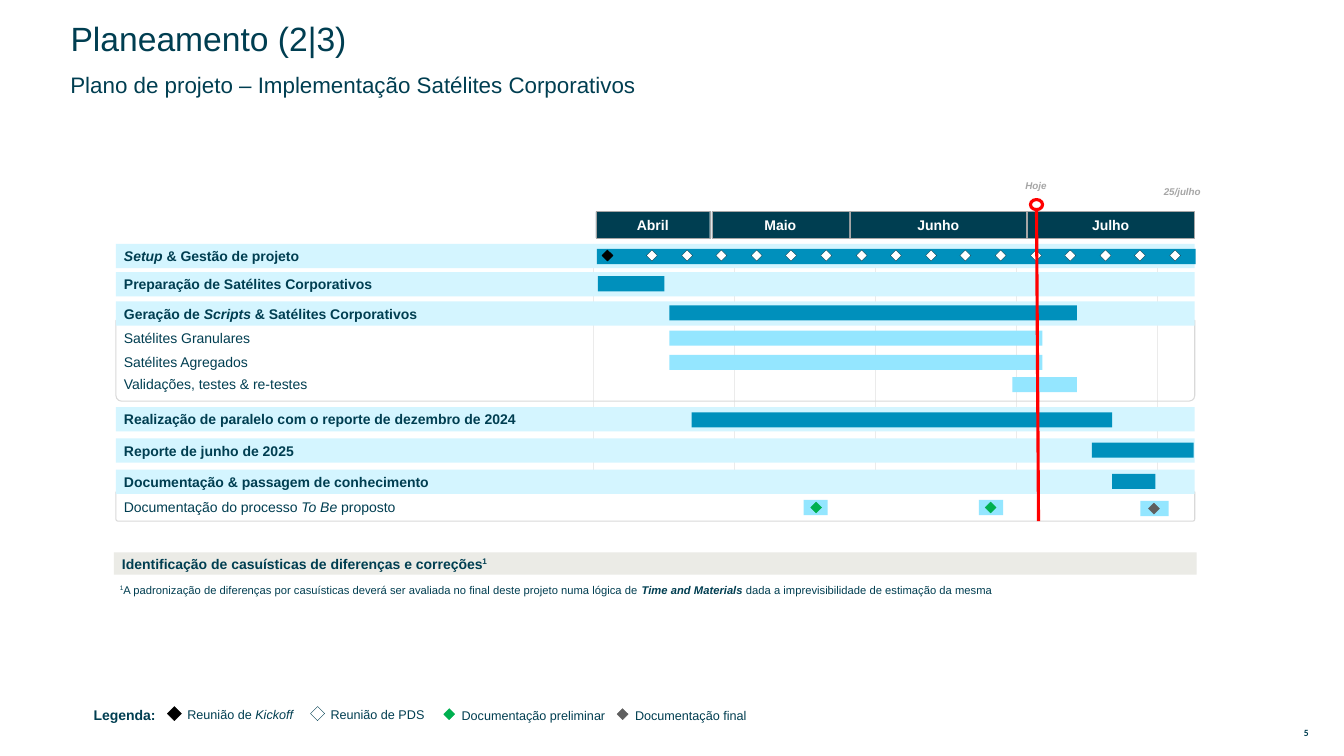
from lxml import etree
from pptx import Presentation
from pptx.dml.color import RGBColor
from pptx.enum.shapes import MSO_CONNECTOR, MSO_SHAPE
from pptx.enum.text import MSO_ANCHOR, MSO_AUTO_SIZE, PP_ALIGN
from pptx.oxml.ns import qn
from pptx.util import Pt

RECT, DIAMOND, OVAL = MSO_SHAPE.RECTANGLE, MSO_SHAPE.DIAMOND, MSO_SHAPE.OVAL
FRAME = MSO_SHAPE.ROUND_2_SAME_RECTANGLE
LINE = MSO_CONNECTOR.STRAIGHT
TOP, MIDDLE = MSO_ANCHOR.TOP, MSO_ANCHOR.MIDDLE
LEFT, CENTER = PP_ALIGN.LEFT, PP_ALIGN.CENTER
FIXED = MSO_AUTO_SIZE.NONE

NAVY = RGBColor(0x00, 0x3E, 0x51)
BLUE = RGBColor(0x00, 0x90, 0xBC)
SKY = RGBColor(0x94, 0xE6, 0xFF)
PALE = RGBColor(0xD4, 0xF5, 0xFF)
SAND = RGBColor(0xEB, 0xEB, 0xE6)
WHITE = RGBColor(0xFF, 0xFF, 0xFF)
BLACK = RGBColor(0x00, 0x00, 0x00)
GREEN = RGBColor(0x00, 0xB0, 0x50)
DARK = RGBColor(0x5F, 0x5F, 0x5F)
GREY = RGBColor(0xA6, 0xA6, 0xA6)
EDGE = RGBColor(0xD9, 0xD9, 0xD9)
GRID = RGBColor(0xEB, 0xEB, 0xEB)
RED = RGBColor(0xFF, 0x00, 0x00)

PX = 9144  # EMU, 100 px to the inch


class Chart:
    def __init__(self, slide, font="Arial", color=NAVY):
        self.slide, self.font, self.color = slide, font, color

    def label(self, shape, runs, size=10, bold=None, italic=None, color=None,
              font=None, align=LEFT, anchor=MIDDLE, pad=(10, 5, 10, 5), space=None):
        """Fill a shape with text; a run is a string or (string, marks), marks from b, i and ^."""
        frame = shape.text_frame
        frame.word_wrap, frame.auto_size = True, FIXED
        frame.vertical_anchor = anchor
        (frame.margin_left, frame.margin_top,
         frame.margin_right, frame.margin_bottom) = (n * PX for n in pad)
        para = frame.paragraphs[0]
        para.alignment = align
        if space:
            para.line_spacing = space
        para.font.name, para.font.size = font or self.font, Pt(size)
        para.font.bold, para.font.italic = bold, italic
        para.font.color.rgb = color or self.color
        for part in [runs] if isinstance(runs, str) else runs:
            text, marks = (part, "") if isinstance(part, str) else part
            run = para.add_run()
            run.text = text
            if "b" in marks:
                run.font.bold = True
            if "i" in marks:
                run.font.italic = True
            if "^" in marks:
                run._r.get_or_add_rPr().set("baseline", "30000")

    def title(self, x, y, w, h, text, **style):
        shape = self.slide.shapes.title
        shape.left, shape.top, shape.width, shape.height = (n * PX for n in (x, y, w, h))
        self.label(shape, text, **style)

    def text(self, x, y, w, h, runs, **style):
        box = self.slide.shapes.add_textbox(x * PX, y * PX, w * PX, h * PX)
        self.label(box, runs, **style)

    def shape(self, kind, x, y, w, h, fill=None, edge=None, width=0.25):
        shape = self.slide.shapes.add_shape(kind, x * PX, y * PX, w * PX, h * PX)
        shape.shadow.inherit = False
        if fill is None:
            shape.fill.background()
        else:
            shape.fill.solid()
            shape.fill.fore_color.rgb = fill
        if edge is None:
            shape.line.fill.background()
        else:
            shape.line.color.rgb, shape.line.width = edge, Pt(width)
        return shape

    def bar(self, x, y, w, fill=BLUE):
        self.shape(RECT, x, y, w, 15, fill)

    def mark(self, x, y, fill, edge=None, size=11):
        self.shape(DIAMOND, x, y, size, size, fill, edge or fill)

    def band(self, x, y, w, h, runs, fill=PALE):
        shape = self.shape(RECT, x, y, w, h, fill)
        self.label(shape, runs, bold=True, pad=(8, 11, 8, 11))

    def frame(self, y, h):
        shape = self.shape(FRAME, 115, y, 1070, h, edge=EDGE, width=0.75)
        shape.adjustments[0], shape.adjustments[1] = 0, 0.07

    def line(self, x1, y1, x2, y2, color, width):
        line = self.slide.shapes.add_connector(LINE, x1 * PX, y1 * PX, x2 * PX, y2 * PX)
        line.line.color.rgb, line.line.width = color, Pt(width)
        etree.SubElement(line._element.spPr, qn("a:effectLst"))


BANDS = [
    (242, [("Setup", "i"), " & Gestão de projeto"]),
    (270, "Preparação de Satélites Corporativos"),
    (299, ["Geração de ", ("Scripts", "i"), " & Satélites Corporativos"]),
    (404, "Realização de paralelo com o reporte de dezembro de 2024"),
    (435, "Reporte de junho de 2025"),
    (466, "Documentação & passagem de conhecimento"),
]
TASKS = [
    (324, 23, "Satélites Granulares"),
    (348, 22, "Satélites Agregados"),
    (371, 20, "Validações, testes & re-testes"),
    (493, 20, ["Documentação do processo ", ("To Be", "i"), " proposto"]),
]
BARS = [
    (592, 247, 594, BLUE), (593, 274, 66, BLUE), (664, 303, 404, BLUE),
    (664, 328, 370, SKY), (664, 352, 370, SKY), (1004, 374, 64, SKY),
    (686, 409, 417, BLUE), (1083, 439, 101, BLUE), (1103, 470, 43, BLUE),
    (797, 496, 24, SKY), (971, 496, 24, SKY), (1131, 497, 28, SKY),
]
MONTHS = [(591, 113, "Abril"), (706, 136, "Maio"), (843, 175, "Junho"), (1019, 165, "Julho")]
DOCS = [(804, 498, GREEN), (977, 498, GREEN), (1139, 499, DARK)]
DATES = [(992, 173, "Hoje"), (1137, 179, "25/julho")]
LEGEND = [  # mark x, y, size, fill, edge, then text x, y, w, runs
    (166, 701, 14, BLACK, BLACK, 176, 695, 129, ["Reunião de ", ("Kickoff", "i")]),
    (308, 701, 14, WHITE, NAVY, 318, 695, 129, "Reunião de PDS"),
    (440, 703, 11, GREEN, GREEN, 448, 696, 169, "Documentação preliminar"),
    (612, 703, 11, DARK, DARK, 620, 696, 141, "Documentação final"),
]


def main():
    deck = Presentation()
    deck.slide_width, deck.slide_height = 1333 * PX, 750 * PX
    chart = Chart(deck.slides.add_slide(deck.slide_layouts[5]))

    chart.title(60, 27, 795, 26, "Planeamento (2|3)", size=24, space=0.9)
    chart.text(60, 73, 766, 26, "Plano de projeto – Implementação Satélites Corporativos",
               size=16, space=0.9)

    for step in range(5):
        x = 588 + 140 * step
        chart.line(x, 242, x, 490, GRID, 0.25)
    chart.frame(318, 80)
    chart.frame(488, 29)
    for y, runs in BANDS:
        chart.band(115, y, 1070, 24, runs)
    for y, h, runs in TASKS:
        chart.text(113, y, 423, h, runs)

    for x, w, name in MONTHS:
        month = chart.shape(RECT, x, 210, w, 26, NAVY, GREY)
        chart.label(month, name, bold=True, color=WHITE, align=CENTER, pad=(0, 5, 0, 5))
    for bar in BARS:
        chart.bar(*bar)
    chart.mark(597, 248, BLACK)
    for week in range(16):
        chart.mark(641 + round(34.6 * week), 248, WHITE, NAVY)
    for doc in DOCS:
        chart.mark(*doc)

    chart.line(1028, 202, 1030, 517, RED, 2.25)
    chart.shape(OVAL, 1022, 198, 12, 10, WHITE, RED, 2.25)
    for x, y, date in DATES:
        chart.text(x, y, 71, 23, date, size=7, bold=True, italic=True, color=GREY,
                   align=CENTER, anchor=TOP, pad=(0, 5, 0, 5))

    chart.band(113, 548, 1074, 22,
               ["Identificação de casuísticas de diferenças e correções", ("1", "^")], SAND)
    chart.text(109, 572, 1081, 24, [
        ("1", "^"),
        "A padronização de diferenças por casuísticas deverá ser avaliada "
        "no final deste projeto numa lógica de ",
        ("Time and Materials ", "bi"),
        "dada a imprevisibilidade de estimação da mesma",
    ], size=8, anchor=TOP, space=1.1)

    chart.text(83, 694, 83, 29, "Legenda:", bold=True, anchor=TOP, space=1.1)
    for mx, my, size, fill, edge, x, y, w, runs in LEGEND:
        chart.mark(mx, my, fill, edge, size)
        chart.text(x, y, w, 27, runs, size=9, anchor=TOP, space=1.1)
    chart.text(1273, 719, 45, 16, "5", size=6.8, bold=True, font="Calibri",
               align=CENTER, pad=(6, 3, 6, 3))
    deck.save("out.pptx")


if __name__ == "__main__":
    main()
